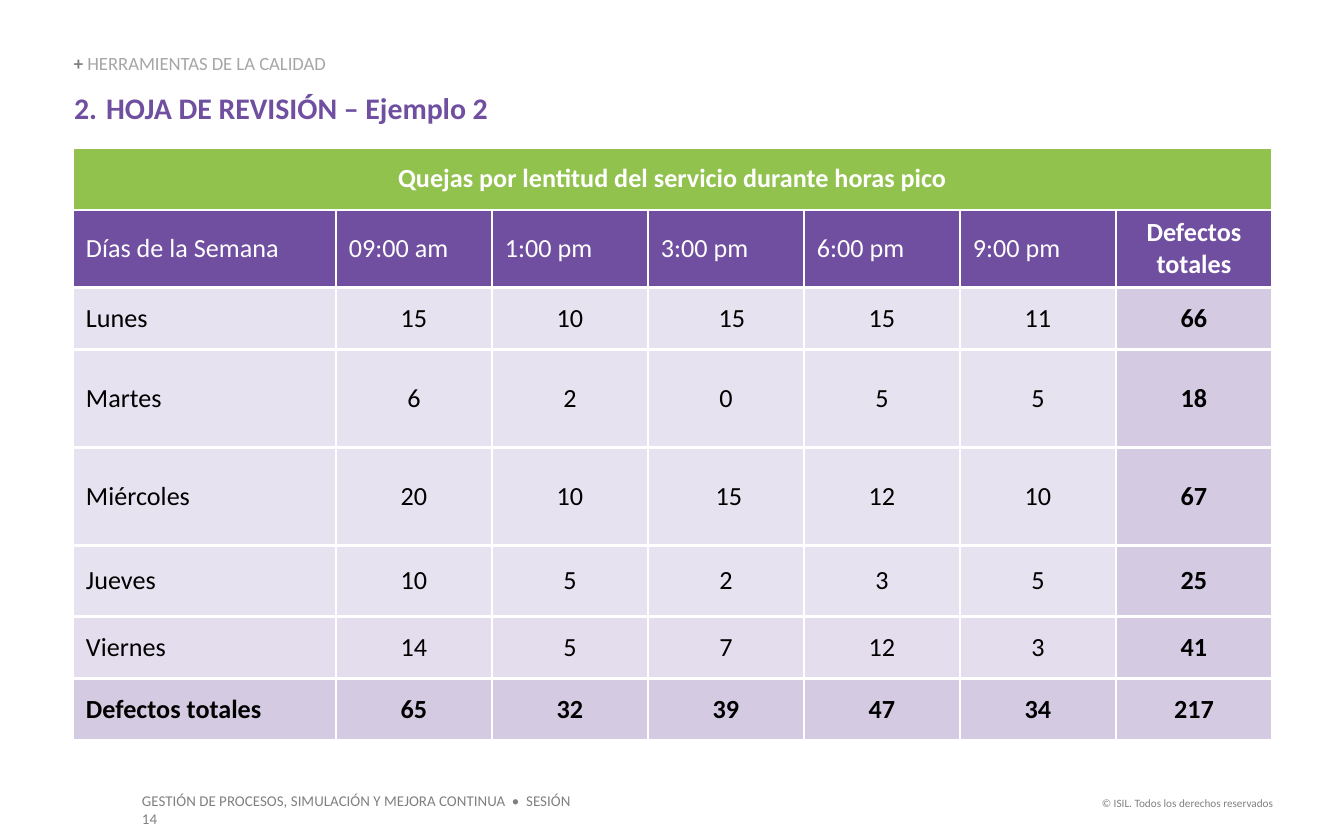
from lxml import etree
from pptx import Presentation
from pptx.dml.color import RGBColor
from pptx.enum.text import MSO_ANCHOR, MSO_AUTO_SIZE, PP_ALIGN
from pptx.oxml.ns import qn
from pptx.util import Pt

LEFT, CENTER, RIGHT = PP_ALIGN.LEFT, PP_ALIGN.CENTER, PP_ALIGN.RIGHT
TOP, MIDDLE, BOTTOM = MSO_ANCHOR.TOP, MSO_ANCHOR.MIDDLE, MSO_ANCHOR.BOTTOM
NO_AUTOFIT = MSO_AUTO_SIZE.NONE

EMU_PER_PX = 914400 / 134.4
SLIDE_SIZE = (1344, 840)
FONT = "Calibri"
WHITE, BLACK, GREY, LIGHT_GREY = "FFFFFF", "000000", "808080", "A6A6A6"
PURPLE, GREEN, LILAC, PALE_LILAC = "714FA0", "92C24E", "D4CBE3", "E4DDED"

SECTION = [("+ ", GREY, True), ("HERRAMIENTAS DE LA CALIDAD", LIGHT_GREY, False)]
TITLE = "HOJA DE REVISIÓN – Ejemplo 2"
TITLE_NUMBER = 2
COURSE = "GESTIÓN DE PROCESOS, SIMULACIÓN Y MEJORA CONTINUA  •  SESIÓN 14"
COPYRIGHT = "© ISIL. Todos los derechos reservados"

TABLE_TITLE = "Quejas por lentitud del servicio durante horas pico"
TOTAL_LABEL = "Defectos totales"
HEADERS = ["Días de la Semana", "09:00 am", "1:00 pm", "3:00 pm", "6:00 pm",
           "9:00 pm", TOTAL_LABEL]
COMPLAINTS = {
    "Lunes": [15, 10, 15, 15, 11],
    "Martes": [6, 2, 0, 5, 5],
    "Miércoles": [20, 10, 15, 12, 10],
    "Jueves": [10, 5, 2, 3, 5],
    "Viernes": [14, 5, 7, 12, 3],
}
INDENTS = {("Lunes", 3): 12, ("Miércoles", 3): 6}

TABLE_ORIGIN = (73, 148)
COLUMN_WIDTHS = [263] + [156] * 6
ROW_HEIGHTS = [62, 75, 62, 98, 98, 71, 62, 62]


def px(length):
    return round(length * EMU_PER_PX)


def rgb(value):
    return RGBColor.from_string(value)


def add_run(paragraph, text, *, size, color, bold=False):
    run = paragraph.add_run()
    run.text = text
    run.font.name = FONT
    run.font.size = Pt(size)
    run.font.bold = bold
    run.font.color.rgb = rgb(color)


def format_frame(frame, *, insets=(13, 7, 13, 7), anchor=TOP):
    frame.word_wrap = True
    frame.auto_size = NO_AUTOFIT
    frame.vertical_anchor = anchor
    (frame.margin_left, frame.margin_top,
     frame.margin_right, frame.margin_bottom) = map(px, insets)


def add_text(slide, box, runs, *, size, align=LEFT, line_spacing=1.0, **frame_format):
    shape = slide.shapes.add_textbox(*map(px, box))
    format_frame(shape.text_frame, **frame_format)
    paragraph = shape.text_frame.paragraphs[0]
    paragraph.alignment = align
    paragraph.line_spacing = line_spacing
    for text, color, bold in runs:
        add_run(paragraph, text, size=size, color=color, bold=bold)


def set_title(slide):
    title = slide.shapes.title
    title.left, title.top, title.width, title.height = map(px, (74, 90, 1130, 43))
    format_frame(title.text_frame, insets=(0, 0, 0, 7))
    paragraph = title.text_frame.paragraphs[0]
    paragraph.alignment = LEFT
    paragraph.space_after = Pt(6)
    properties = paragraph._p.get_or_add_pPr()
    properties.set("marL", str(px(32)))
    properties.set("indent", str(-px(32)))
    etree.SubElement(properties, qn("a:buFont"), typeface="+mj-lt")
    etree.SubElement(properties, qn("a:buAutoNum"), type="arabicPeriod",
                     startAt=str(TITLE_NUMBER))
    add_run(paragraph, TITLE, size=16, color=PURPLE, bold=True)


def add_borders(cell):
    properties = cell._tc.get_or_add_tcPr()
    for side in ("lnL", "lnR", "lnT", "lnB"):
        line = etree.SubElement(properties, qn(f"a:{side}"), w=str(Pt(1.5)))
        fill = etree.SubElement(line, qn("a:solidFill"))
        etree.SubElement(fill, qn("a:srgbClr"), val=WHITE)


def set_cell(cell, text, *, fill, color=BLACK, bold=False, align=CENTER,
             opacity=100, indent=0):
    add_borders(cell)
    cell.fill.solid()
    cell.fill.fore_color.rgb = rgb(fill)
    if opacity < 100:
        fill_color = cell._tc.tcPr.find(f"{qn('a:solidFill')}/{qn('a:srgbClr')}")
        etree.SubElement(fill_color, qn("a:alpha"), val=str(opacity * 1000))
    cell.vertical_anchor = MIDDLE
    cell.margin_left, cell.margin_right = px(13 + indent), px(13)
    cell.margin_top = cell.margin_bottom = px(7)
    paragraph = cell.text_frame.paragraphs[0]
    paragraph.alignment = align
    add_run(paragraph, str(text), size=14, color=color, bold=bold)


def add_complaints_table(slide):
    size = (sum(COLUMN_WIDTHS), sum(ROW_HEIGHTS))
    table = slide.shapes.add_table(len(ROW_HEIGHTS), len(COLUMN_WIDTHS),
                                   *map(px, TABLE_ORIGIN + size)).table
    table.first_row = table.horz_banding = False
    for column, width in zip(table.columns, COLUMN_WIDTHS):
        column.width = px(width)
    for row, height in zip(table.rows, ROW_HEIGHTS):
        row.height = px(height)

    last = len(HEADERS) - 1
    table.cell(0, 0).merge(table.cell(0, last))
    set_cell(table.cell(0, 0), TABLE_TITLE, fill=GREEN, color=WHITE, bold=True)
    for column, header in enumerate(HEADERS):
        is_total = column == last
        set_cell(table.cell(1, column), header, fill=PURPLE, color=WHITE,
                 bold=is_total, align=CENTER if is_total else LEFT)

    totals = [sum(counts) for counts in zip(*COMPLAINTS.values())]
    rows = list(COMPLAINTS.items()) + [(TOTAL_LABEL, totals)]
    for row, (label, counts) in enumerate(rows, start=2):
        for column, value in enumerate([label, *counts, sum(counts)]):
            is_total = label == TOTAL_LABEL or column == last
            if is_total:
                fill, opacity = LILAC, 100
            elif label == "Viernes":
                fill, opacity = PALE_LILAC, 100
            else:
                fill, opacity = LILAC, 55
            set_cell(table.cell(row, column), value, fill=fill, opacity=opacity,
                     bold=is_total, align=CENTER if column else LEFT,
                     indent=INDENTS.get((label, column), 0))


def main():
    presentation = Presentation()
    presentation.slide_width, presentation.slide_height = map(px, SLIDE_SIZE)
    slide = presentation.slides.add_slide(presentation.slide_layouts[5])
    add_text(slide, (1085, 789, 201, 27), [(COPYRIGHT, GREY, False)], size=6, align=RIGHT)
    add_text(slide, (129, 785, 465, 32), [(COURSE, GREY, False)], size=8)
    add_text(slide, (74, 55, 358, 20), SECTION, size=10, line_spacing=0.9,
             insets=(0, 0, 0, 0), anchor=BOTTOM)
    set_title(slide)
    add_complaints_table(slide)
    presentation.save("out.pptx")


if __name__ == "__main__":
    main()
